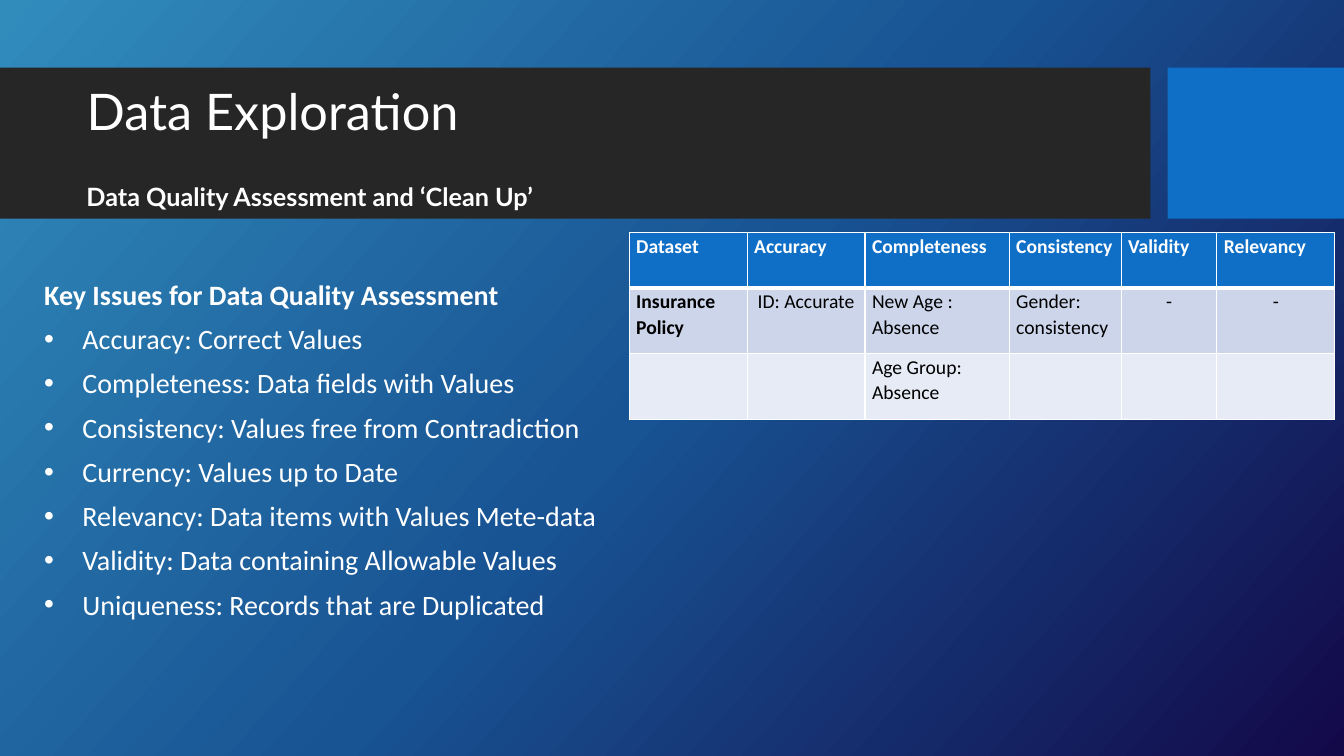
from copy import deepcopy
from dataclasses import dataclass

from lxml.etree import SubElement
from pptx import Presentation
from pptx.dml.color import RGBColor
from pptx.enum.shapes import MSO_SHAPE
from pptx.enum.text import MSO_ANCHOR, MSO_AUTO_SIZE, PP_ALIGN
from pptx.oxml.ns import qn
from pptx.slide import Slide
from pptx.table import _Cell
from pptx.text.text import TextFrame, _Paragraph
from pptx.util import Inches, Pt

WHITE = RGBColor(0xFF, 0xFF, 0xFF)
BLACK = RGBColor(0x00, 0x00, 0x00)
CHARCOAL = RGBColor(0x26, 0x26, 0x26)
BLUE = RGBColor(0x0F, 0x6F, 0xC6)
BACKGROUND_STOPS = (
    (0.0, RGBColor(0x31, 0x8C, 0xBC)),
    (0.5, RGBColor(0x18, 0x53, 0x93)),
    (1.0, RGBColor(0x13, 0x09, 0x49)),
)
ROW_FILLS = (BLUE, RGBColor(0xCC, 0xD5, 0xEA), RGBColor(0xE7, 0xEB, 0xF5))


@dataclass(frozen=True)
class Band:
    left: float
    width: float
    color: RGBColor


BANDS = (Band(0, 11.41, CHARCOAL), Band(11.58, 1.75, BLUE))

ISSUES_HEADING = "Key Issues for Data Quality Assessment"
ISSUES = (
    "Accuracy: Correct Values",
    "Completeness: Data fields with Values",
    "Consistency: Values free from Contradiction",
    "Currency: Values up to Date",
    "Relevancy: Data items with Values Mete-data",
    "Validity: Data containing Allowable Values",
    "Uniqueness: Records that are Duplicated",
)

COLUMN_WIDTHS = (1.17, 1.17, 1.43, 1.11, 0.95, 1.17)
ROW_HEIGHTS = (0.55, 0.65, 0.65)
TABLE_ROWS = (
    ("Dataset", "Accuracy", "Completeness", "Consistency", "Validity", "Relevancy"),
    ("Insurance Policy", "ID: Accurate", "New Age : Absence", "Gender: consistency", "-", "-"),
    ("", "", "Age Group: Absence", "", "", ""),
)
CENTERED_TEXTS = ("ID: Accurate", "-")


def write_text(paragraph: _Paragraph, text: str, *, size: float, font: str = "Calibri",
               color: RGBColor = WHITE, bold: bool = False, spacing: float = 1.0,
               before: float = 0, align: PP_ALIGN = PP_ALIGN.LEFT) -> None:
    paragraph.alignment = align
    paragraph.line_spacing = spacing
    paragraph.space_before = Pt(before)
    run = paragraph.add_run()
    run.text = text
    run.font.size = Pt(size)
    run.font.name = font
    run.font.bold = bold
    run.font.color.rgb = color


def add_bullet(paragraph: _Paragraph) -> None:
    properties = paragraph._p.get_or_add_pPr()
    properties.set("marL", str(Inches(0.38)))
    properties.set("indent", str(-Inches(0.38)))
    SubElement(properties, qn("a:buFont")).set("typeface", "Arial")
    SubElement(properties, qn("a:buChar")).set("char", "•")


def paint_background(slide: Slide) -> None:
    fill = slide.background.fill
    fill.gradient()
    fill.gradient_angle = 360 - 42
    stop_list = slide.element.find(".//" + qn("a:gsLst"))
    stop_list.append(deepcopy(stop_list[-1]))
    for stop, (position, color) in zip(fill.gradient_stops, BACKGROUND_STOPS):
        stop.position = position
        stop.color.rgb = color


def add_band(slide: Slide, band: Band) -> None:
    shape = slide.shapes.add_shape(MSO_SHAPE.RECTANGLE, Inches(band.left), Inches(0.67),
                                   Inches(band.width), Inches(1.5))
    shape.shadow.inherit = False
    shape.fill.solid()
    shape.fill.fore_color.rgb = band.color
    shape.line.fill.background()


def add_text_frame(slide: Slide, left: float, top: float, width: float,
                   height: float) -> TextFrame:
    box = slide.shapes.add_textbox(Inches(left), Inches(top), Inches(width), Inches(height))
    box.text_frame.word_wrap = True
    return box.text_frame


def add_title(slide: Slide) -> None:
    title = slide.shapes.title
    title.left, title.top = Inches(0.76), Inches(0.66)
    title.width, title.height = Inches(10.51), Inches(0.95)
    title.text_frame.vertical_anchor = MSO_ANCHOR.MIDDLE
    write_text(title.text_frame.paragraphs[0], "Data Exploration", size=36, font="Lato",
               spacing=0.9)
    # Bring the title in front of the bands
    title.element.getparent().append(title.element)


def add_issues(slide: Slide) -> None:
    frame = add_text_frame(slide, 0.34, 2.74, 5.9, 4.1)
    write_text(frame.paragraphs[0], ISSUES_HEADING, size=20, bold=True, spacing=0.9, before=10)
    for issue in ISSUES:
        paragraph = frame.add_paragraph()
        write_text(paragraph, issue, size=20, spacing=0.9, before=10)
        add_bullet(paragraph)


def set_borders(cell: _Cell, *, top: float, bottom: float) -> None:
    properties = cell._tc.get_or_add_tcPr()
    for side, width in (("L", 1), ("R", 1), ("T", top), ("B", bottom)):
        line = SubElement(properties, qn(f"a:ln{side}"), w=str(Pt(width)))
        solid = SubElement(line, qn("a:solidFill"))
        SubElement(solid, qn("a:srgbClr"), val=str(WHITE))


def format_cell(cell: _Cell, text: str, row: int, column: int) -> None:
    is_header = row == 0
    set_borders(cell, top=3 if row == 1 else 1, bottom=3 if is_header else 1)
    cell.fill.solid()
    cell.fill.fore_color.rgb = ROW_FILLS[row]
    if not text:
        return
    cell.margin_left = cell.margin_right = Inches(0.07)
    cell.margin_top = cell.margin_bottom = 0
    write_text(cell.text_frame.paragraphs[0], text, size=14, spacing=1.07,
               color=WHITE if is_header else BLACK, bold=is_header or column == 0,
               align=PP_ALIGN.CENTER if text in CENTERED_TEXTS else PP_ALIGN.LEFT)


def add_quality_table(slide: Slide) -> None:
    table = slide.shapes.add_table(
        len(ROW_HEIGHTS), len(COLUMN_WIDTHS), Inches(6.24), Inches(2.31),
        Inches(sum(COLUMN_WIDTHS)), Inches(sum(ROW_HEIGHTS))).table
    for column, width in zip(table.columns, COLUMN_WIDTHS):
        column.width = Inches(width)
    for row, height in zip(table.rows, ROW_HEIGHTS):
        row.height = Inches(height)
    for row_index, texts in enumerate(TABLE_ROWS):
        for column_index, text in enumerate(texts):
            format_cell(table.cell(row_index, column_index), text, row_index, column_index)


def main() -> None:
    presentation = Presentation()
    presentation.slide_width = Inches(13.33)
    presentation.slide_height = Inches(7.5)
    slide = presentation.slides.add_slide(presentation.slide_layouts.get_by_name("Title Only"))

    # Background and header bands
    paint_background(slide)
    for band in BANDS:
        add_band(slide, band)

    # Title, key issues and subtitle
    add_title(slide)
    add_issues(slide)
    subtitle = add_text_frame(slide, 0.76, 1.75, 6.67, 0.4)
    subtitle.auto_size = MSO_AUTO_SIZE.SHAPE_TO_FIT_TEXT
    write_text(subtitle.paragraphs[0], "Data Quality Assessment and ‘Clean Up’", size=18,
               font="Lato", bold=True)

    # Data quality table
    add_quality_table(slide)
    presentation.save("out.pptx")


if __name__ == "__main__":
    main()
